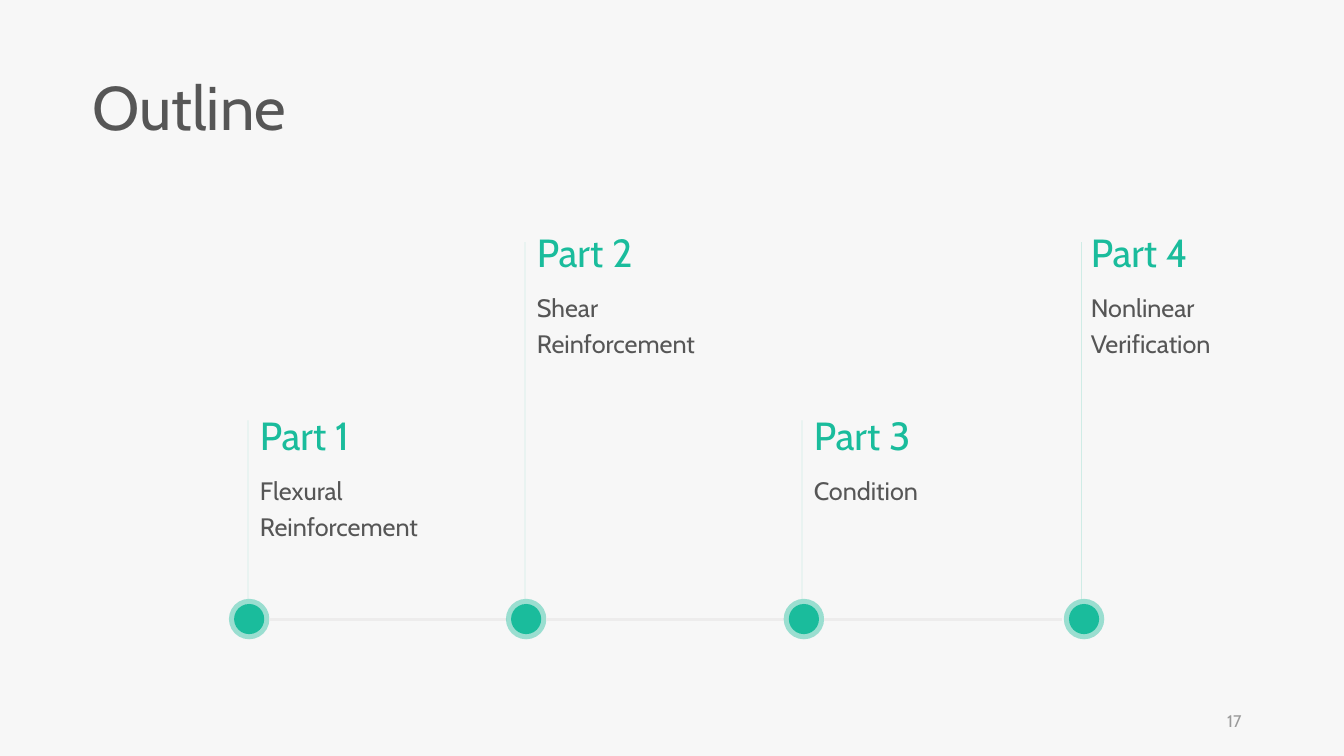
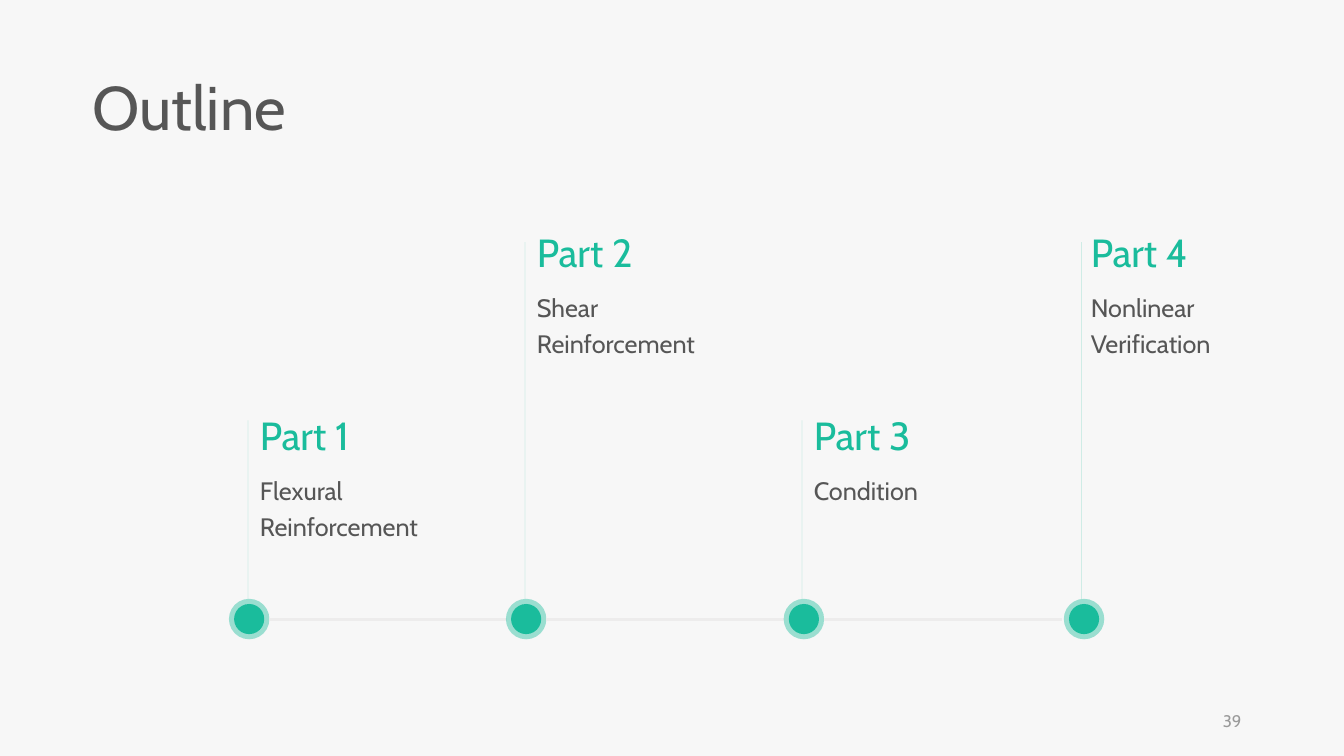
from pptx import Presentation
from pptx.dml.color import RGBColor as RGB
from pptx.enum.shapes import MSO_CONNECTOR as LINK, MSO_SHAPE as FORM
from pptx.enum.text import MSO_ANCHOR as ANCHOR, MSO_AUTO_SIZE as FIT, PP_ALIGN as ALIGN
from pptx.oxml.xmlchemy import OxmlElement as Node
from pptx.util import Cm, Pt

FONT = "Cabin"
COLORS = {
    "back": "F7F7F7",
    "teal": "1ABC9C",
    "text": "565656",
    "page": "9A9A9A",
    "axis": "EDECEC",
}

# Timeline grid, in cm
LEFT, STEP = 6.25, 6.98
AXIS = 15.6
RING, CORE = 1.02, 0.76
SPAN = 5.99
HEAD, WIDE = 1.45, 4.7
HIGH, LOW = (5.64, 6.1), (10.24, 10.59)  # top of text, top of stem

# Heading, detail, lines of detail, level, shift of stem, shift of dot
PARTS = [
    ("Part 1", "Flexural Reinforcement", 2, LOW, 0, 0.03),
    ("Part 2", "Shear Reinforcement", 2, HIGH, 0, 0.03),
    ("Part 3", "Condition", 1, LOW, 0, 0.05),
    ("Part 4", "Nonlinear Verification", 2, HIGH, 0.06, 0.13),
]
PAGES = ["17", "39"]


def color(name):
    return RGB.from_string(COLORS[name])


def fade(shape, share):
    """Make the colour of a shape or line partly transparent."""
    alpha = Node("a:alpha")
    alpha.set("val", str(share * 1000))
    shape.element.spPr.xpath(".//a:srgbClr")[0].append(alpha)


def add_text(slide, text, box, size, tint, inset=0.3, space=None,
             align=ALIGN.LEFT, anchor=ANCHOR.TOP, fit=FIT.SHAPE_TO_FIT_TEXT):
    frame = slide.shapes.add_textbox(*map(Cm, box)).text_frame
    frame.word_wrap = True
    frame.auto_size = fit
    frame.vertical_anchor = anchor
    frame.margin_left = Cm(inset)
    para = frame.paragraphs[0]
    para.alignment = align
    para.line_spacing = space
    run = para.add_run()
    run.text = text
    run.font.name = FONT
    run.font.size = Pt(size)
    run.font.color.rgb = color(tint)


def add_line(slide, start, end, tint, width):
    line = slide.shapes.add_connector(LINK.STRAIGHT, *map(Cm, start + end))
    line.line.color.rgb = color(tint)
    line.line.width = Pt(width)
    line.element.spPr.append(Node("a:effectLst"))
    return line


def add_disc(group, x, size):
    half = size / 2
    disc = group.shapes.add_shape(
        FORM.OVAL, Cm(x - half), Cm(AXIS - half), Cm(size), Cm(size))
    disc.shadow.inherit = False
    disc.fill.solid()
    disc.fill.fore_color.rgb = color("teal")
    disc.line.fill.background()
    return disc


def add_dot(slide, x):
    group = slide.shapes.add_group_shape()
    fade(add_disc(group, x, RING), 42)
    add_disc(group, x, CORE)


def add_part(slide, index, part):
    head, detail, rows, (top, tip), lean, shift = part
    x = LEFT + index * STEP
    dot, stem = x + shift, x + lean

    # Dot, axis to the next dot, and stem
    add_dot(slide, dot)
    if index < len(PARTS) - 1:
        edge = dot + RING / 2
        add_line(slide, (edge, AXIS), (edge + SPAN, AXIS), "axis", 2.25)
    fade(add_line(slide, (stem, AXIS - RING / 2), (stem, tip), "teal", 0.25), 51)

    # Heading and detail
    add_text(slide, head, (x, top, WIDE, HEAD), 28, "teal")
    add_text(slide, detail, (x, top + HEAD, WIDE, 0.17 + 0.92 * rows),
             18, "text", space=1.2)


def add_frame(slide, title, page):
    """Title and page number."""
    add_text(slide, title, (2.33, 1.83, 12.45, 1.96), 44, "text",
             inset=0, space=0.9)
    add_text(slide, page, (23.92, 17.65, 7.62, 1.02), 12, "page", inset=0.25,
             align=ALIGN.RIGHT, anchor=ANCHOR.MIDDLE, fit=FIT.NONE)


def main():
    deck = Presentation()
    deck.slide_width, deck.slide_height = Cm(33.87), Cm(19.05)

    # Shared background
    fill = deck.slide_master.background.fill
    fill.solid()
    fill.fore_color.rgb = color("back")

    # Outline slides
    for page in PAGES:
        slide = deck.slides.add_slide(deck.slide_layouts[6])
        add_frame(slide, "Outline", page)
        for index, part in enumerate(PARTS):
            add_part(slide, index, part)

    deck.save("out.pptx")


if __name__ == "__main__":
    main()
